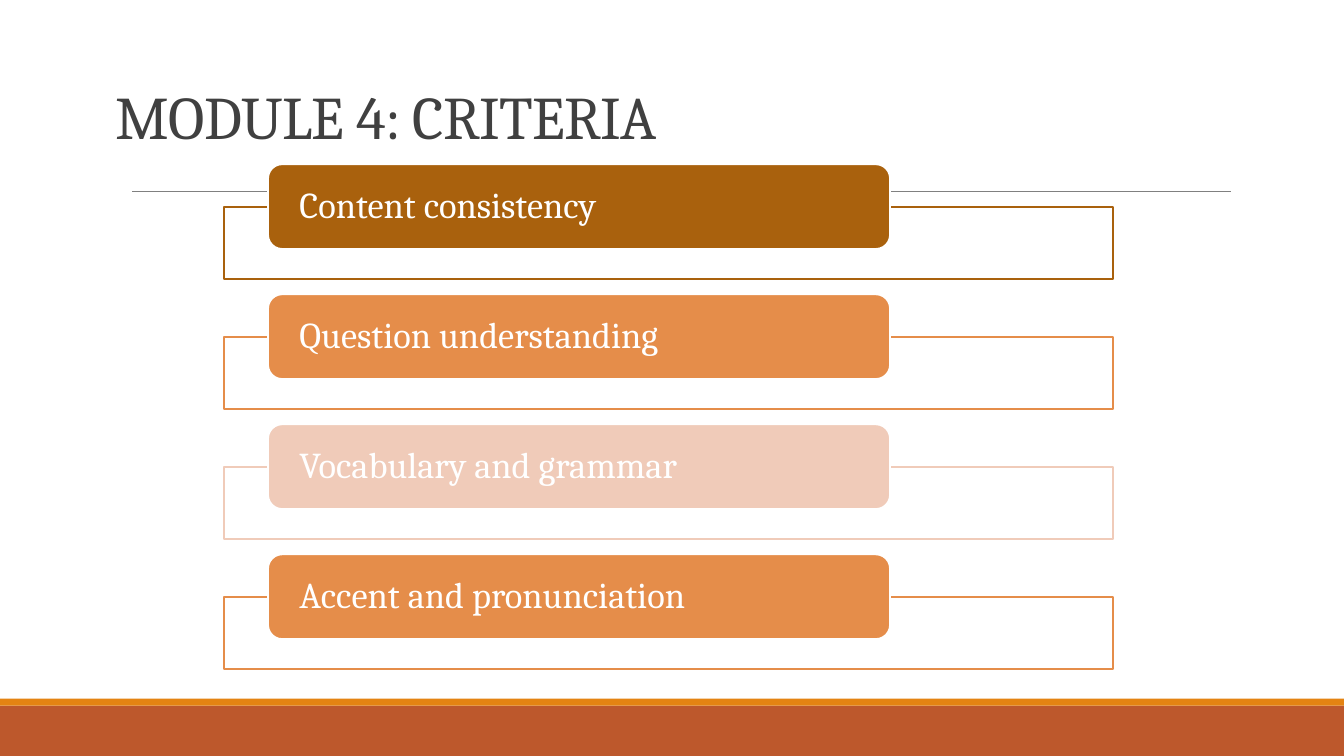
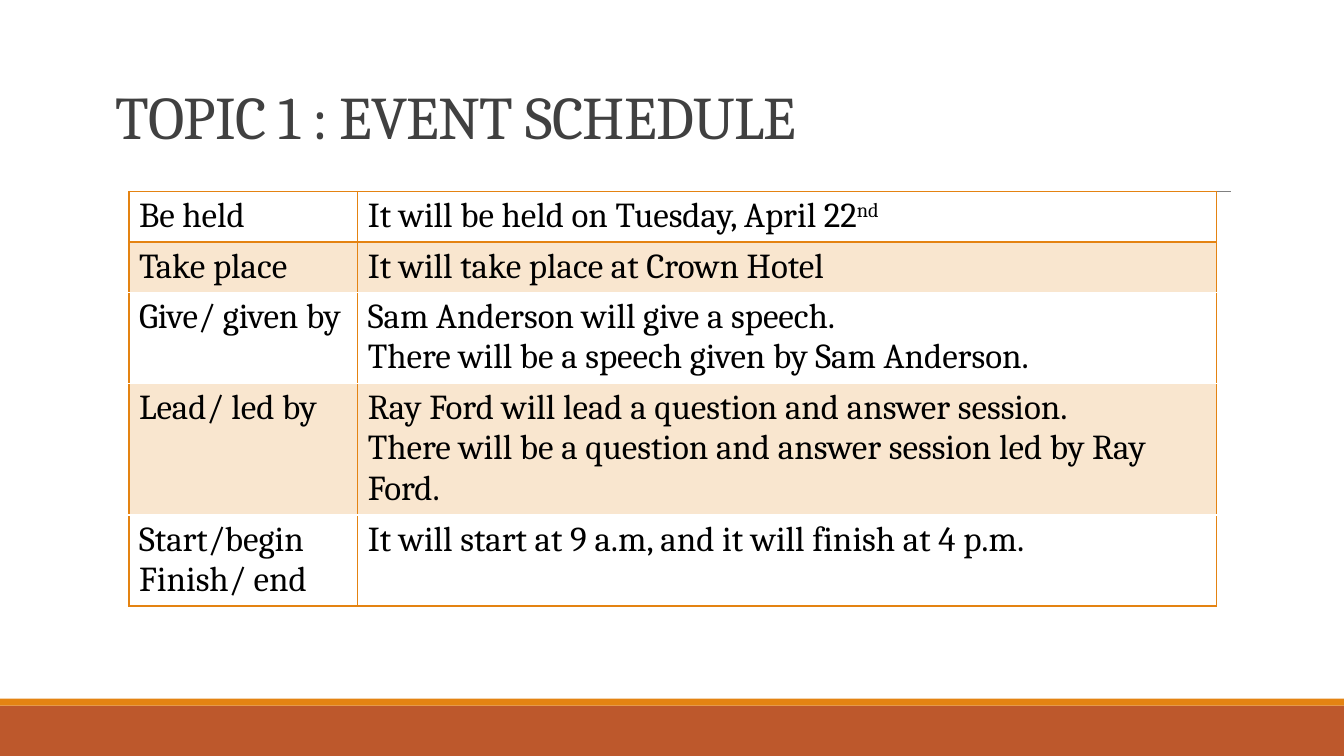
from pptx import Presentation
from pptx.dml.color import RGBColor
from pptx.enum.shapes import MSO_CONNECTOR, MSO_SHAPE
from pptx.enum.text import MSO_ANCHOR, MSO_AUTO_SIZE, PP_ALIGN
from pptx.oxml.ns import qn
from pptx.oxml.xmlchemy import OxmlElement
from pptx.util import Pt

FONT = "Cambria"
WHITE = RGBColor(0xFF, 0xFF, 0xFF)
BLACK = RGBColor(0, 0, 0)
CHARCOAL = RGBColor(0x40, 0x40, 0x40)
GRAY = RGBColor(0x80, 0x80, 0x80)
RUST = RGBColor(0xBD, 0x58, 0x2C)
ORANGE = RGBColor(0xE4, 0x83, 0x12)
BROWN = RGBColor(0xA9, 0x61, 0x0D)
APRICOT = RGBColor(0xE5, 0x8D, 0x4A)
BLUSH = RGBColor(0xF0, 0xCB, 0xB9)

CRITERIA_TITLE = "MODULE 4: CRITERIA"
CRITERIA = [
    ("Content consistency", BROWN),
    ("Question understanding", APRICOT),
    ("Vocabulary and grammar", BLUSH),
    ("Accent and pronunciation", APRICOT),
]

SCHEDULE_TITLE = "TOPIC 1 : EVENT SCHEDULE"
SCHEDULE = [
    (36, ["Be held"], ["It will be held on Tuesday, April 22^nd"]),
    (36, ["Take place"], ["It will take place at Crown Hotel"]),
    (65, ["Give/ given by"],
     ["Sam Anderson will give a speech.",
      "There will be a speech given by Sam Anderson."]),
    (94, ["Lead/ led by"],
     ["Ray Ford will lead a question and answer session.",
      "There will be a question and answer session led by Ray Ford."]),
    (65, ["Start/begin", "Finish/ end"],
     ["It will start at 9 a.m, and it will finish at 4 p.m."]),
]
SCHEDULE_COLUMNS = (163.44, 613.44)

SLIDE_W, SLIDE_H = 960, 540
BAND_TOP, STRIPE_TOP, RULE_Y = 504, 499, 136.8
FRAME_LEFT, FRAME_TOP, FRAME_W, FRAME_H = 159.84, 147.6, 635, 51.84
LABEL_LEFT, LABEL_TOP, LABEL_W, LABEL_H = 191.52, 117.36, 444.24, 60.48
CRITERION_STEP = 92.88


def set_alpha(color_element, percent):
    alpha = OxmlElement("a:alpha")
    alpha.set("val", str(percent * 1000))
    color_element.append(alpha)


def add_run(paragraph, text, size, color):
    run = paragraph.add_run()
    run.text = text
    run.font.name = FONT
    run.font.size = Pt(size)
    run.font.color.rgb = color
    return run.font.element if hasattr(run.font, "element") else run.font._element


def add_box(slide, preset, left, top, width, height, fill, outline=None):
    box = slide.shapes.add_shape(preset, Pt(left), Pt(top), Pt(width), Pt(height))
    box.shadow.inherit = False
    box.fill.solid()
    box.fill.fore_color.rgb = fill
    if outline is None:
        box.line.fill.background()
    else:
        box.line.color.rgb = outline
        box.line.width = Pt(1.25)
    return box


def decorate_layout(layout, slide):
    for placeholder in list(layout.placeholders)[1:]:
        layout.shapes.element.remove(placeholder.element)
    band = add_box(slide, MSO_SHAPE.RECTANGLE, 0, BAND_TOP,
                   SLIDE_W, SLIDE_H - BAND_TOP, RUST)
    stripe = add_box(slide, MSO_SHAPE.RECTANGLE, 0, STRIPE_TOP,
                     SLIDE_W, BAND_TOP - STRIPE_TOP, ORANGE)
    rule = slide.shapes.add_connector(MSO_CONNECTOR.STRAIGHT, Pt(94.32), Pt(RULE_Y),
                                      Pt(879.12), Pt(RULE_Y))
    rule.line.color.rgb = GRAY
    rule.line.width = Pt(0.5)
    rule.element.spPr.append(OxmlElement("a:effectLst"))
    for part in (band, stripe, rule):
        layout.shapes.element.append(part.element)


def set_title(slide, text):
    title = slide.shapes.title
    title.left, title.top, title.width, title.height = Pt(75.6), Pt(71.28), Pt(828), Pt(41.04)
    frame = title.text_frame
    frame.auto_size = MSO_AUTO_SIZE.NONE
    frame.vertical_anchor = MSO_ANCHOR.BOTTOM
    heading = frame.paragraphs[0]
    heading.alignment = PP_ALIGN.LEFT
    heading.line_spacing = 0.85
    add_run(heading, text, 43.2, CHARCOAL).set("spc", "-50")


def add_criterion(slide, index, text, color):
    offset = index * CRITERION_STEP
    frame = add_box(slide, MSO_SHAPE.RECTANGLE, FRAME_LEFT, FRAME_TOP + offset,
                    FRAME_W, FRAME_H, WHITE, color)
    set_alpha(frame.element.xpath("./p:spPr/a:solidFill/a:srgbClr")[0], 90)
    label = add_box(slide, MSO_SHAPE.ROUNDED_RECTANGLE, LABEL_LEFT, LABEL_TOP + offset,
                    LABEL_W, LABEL_H, color, WHITE)
    body = label.text_frame
    body.word_wrap = True
    body.vertical_anchor = MSO_ANCHOR.MIDDLE
    body.margin_left = body.margin_right = Pt(19.44)
    body.margin_top = body.margin_bottom = 0
    paragraph = body.paragraphs[0]
    paragraph.alignment = PP_ALIGN.LEFT
    paragraph.line_spacing = 0.9
    add_run(paragraph, text, 26, WHITE)


def add_border(cell_properties, side, width):
    border = OxmlElement("a:ln" + side)
    border.set("w", str(Pt(width)))
    fill = OxmlElement("a:solidFill")
    color = OxmlElement("a:srgbClr")
    color.set("val", str(ORANGE))
    fill.append(color)
    border.append(fill)
    cell_properties.append(border)


def fill_cell(cell, lines):
    for number, line in enumerate(lines):
        body = cell.text_frame
        paragraph = body.add_paragraph() if number else body.paragraphs[0]
        text, _, superscript = line.partition("^")
        add_run(paragraph, text, 25, BLACK)
        if superscript:
            add_run(paragraph, superscript, 25, BLACK).set("baseline", "30000")


def add_schedule(slide):
    holder = slide.shapes.add_table(
        len(SCHEDULE), len(SCHEDULE_COLUMNS), Pt(92.16), Pt(RULE_Y),
        Pt(sum(SCHEDULE_COLUMNS)), Pt(sum(height for height, *_ in SCHEDULE)))
    table = holder.table
    table.first_row = table.horz_banding = False
    for column, width in zip(table.columns, SCHEDULE_COLUMNS):
        column.width = Pt(width)
    rows = holder.element.iter(qn("a:tr"))
    for index, ((height, *texts), row) in enumerate(zip(SCHEDULE, rows)):
        table.rows[index].height = Pt(height)
        for column, (lines, cell_element) in enumerate(zip(texts, row.iter(qn("a:tc")))):
            cell = table.cell(index, column)
            fill_cell(cell, lines)
            properties = cell_element.get_or_add_tcPr()
            add_border(properties, "L", 1)
            add_border(properties, "R", 1)
            if index == 0:
                add_border(properties, "T", 1)
            add_border(properties, "B", 2 if index == 0 else 1)
            if index % 2:
                cell.fill.solid()
                cell.fill.fore_color.rgb = ORANGE
                set_alpha(properties.xpath("./a:solidFill/a:srgbClr")[0], 20)
            else:
                cell.fill.background()


deck = Presentation()
deck.slide_width, deck.slide_height = Pt(SLIDE_W), Pt(SLIDE_H)
title_only = deck.slide_layouts[5]

criteria_slide = deck.slides.add_slide(title_only)
decorate_layout(title_only, criteria_slide)
set_title(criteria_slide, CRITERIA_TITLE)
for position, (criterion, shade) in enumerate(CRITERIA):
    add_criterion(criteria_slide, position, criterion, shade)

schedule_slide = deck.slides.add_slide(title_only)
set_title(schedule_slide, SCHEDULE_TITLE)
add_schedule(schedule_slide)

deck.save("out.pptx")
